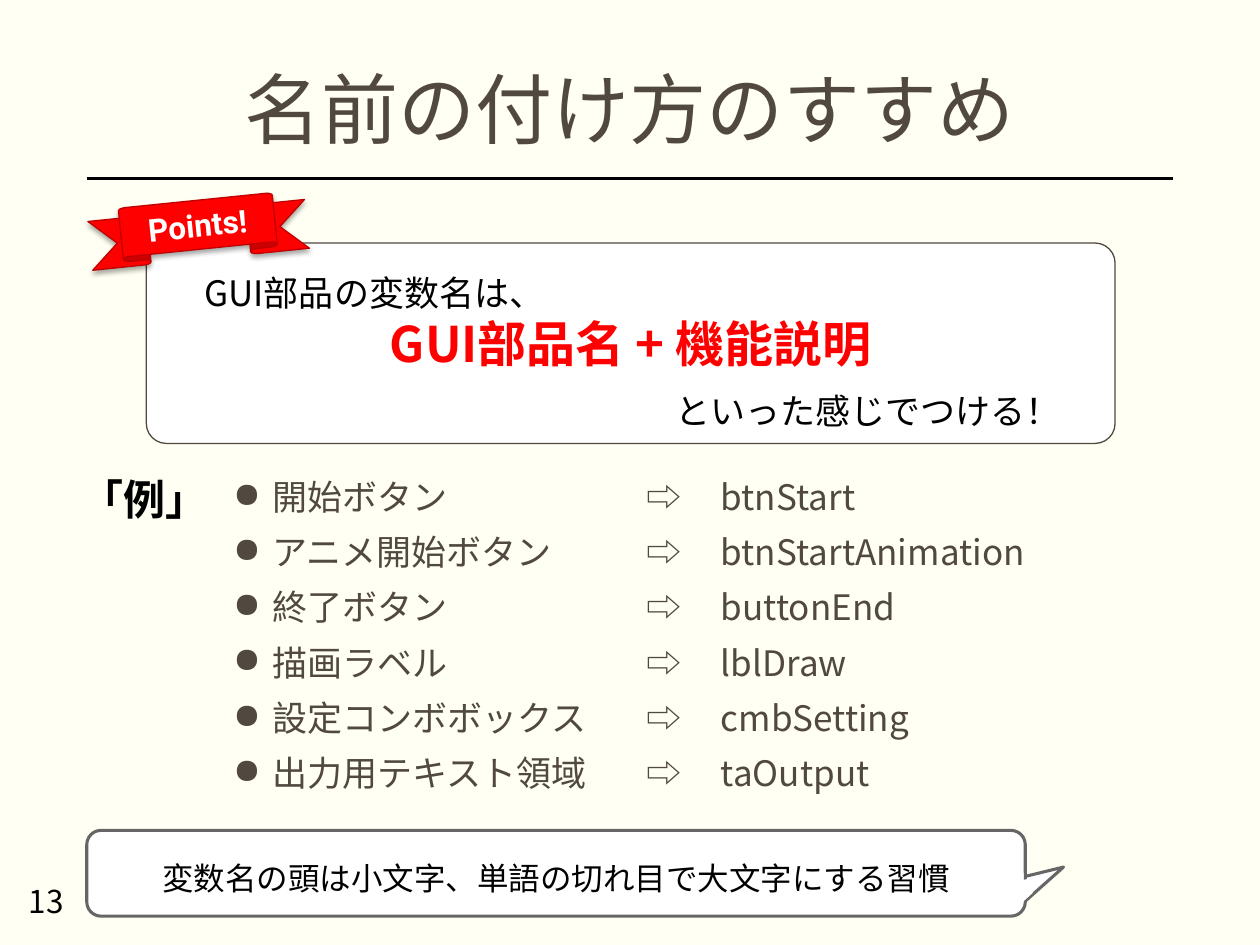
from dataclasses import dataclass
from typing import NamedTuple

from lxml.etree import SubElement
from pptx import Presentation
from pptx.dml.color import RGBColor
from pptx.enum.shapes import MSO_CONNECTOR, MSO_SHAPE
from pptx.enum.text import MSO_ANCHOR, PP_ALIGN
from pptx.oxml.ns import qn
from pptx.util import Cm, Pt


@dataclass(frozen=True)
class Theme:
    back: str = "FFFFF3"
    brown: str = "514840"
    black: str = "000000"
    white: str = "FFFFFF"
    red: str = "FF0000"
    dark: str = "C00000"
    gray: str = "666666"
    font: str = "Noto Sans CJK JP"
    bold: str = "Roboto"
    title: int = 44
    key: int = 28
    mark: int = 24
    body: int = 20
    note: int = 18


class Box(NamedTuple):
    left: float
    top: float
    width: float
    height: float


class Pair(NamedTuple):
    widget: str
    name: str


class Line(NamedTuple):
    text: str
    size: int
    color: str
    align: PP_ALIGN
    bold: bool = False
    left: float = 0
    right: float = 0


class Patch(NamedTuple):
    box: Box
    turn: float


T = Theme()

PAIRS = [
    Pair("開始ボタン", "btnStart"),
    Pair("アニメ開始ボタン", "btnStartAnimation"),
    Pair("終了ボタン", "buttonEnd"),
    Pair("描画ラベル", "lblDraw"),
    Pair("設定コンボボックス", "cmbSetting"),
    Pair("出力用テキスト領域", "taOutput"),
]
RULE = [
    Line("GUI部品の変数名は、", T.body, T.black, PP_ALIGN.LEFT, left=0.8),
    Line("GUI部品名 + 機能説明", T.key, T.red, PP_ALIGN.CENTER, bold=True),
    Line("といった感じでつける！", T.body, T.black, PP_ALIGN.RIGHT, right=0.72),
]
# White patches open the bubble's edge towards its tail
PATCHES = [Patch(Box(20.47, 17.65, 0.23, 0.43), 78), Patch(Box(20.55, 17.88, 0.2, 0.28), 47.5)]
TAIL = [(20.62, 17.68), (21.44, 17.48), (20.62, 18.21)]
TABS = (8.33, 9.83)


def rgb(code: str) -> RGBColor:
    return RGBColor.from_string(code)


def place(box: Box) -> list:
    return [Cm(n) for n in box]


def style(para, size: int, color: str, bold: bool = False, face: str = T.font) -> None:
    """Format every run, for Latin and East Asian letters alike."""
    for run in para.runs:
        font = run.font
        font.name, font.size, font.bold = face, Pt(size), bold
        font.color.rgb = rgb(color)
        SubElement(run._r.get_or_add_rPr(), qn("a:ea"), typeface=face)


def paint(shape, fill: str, edge: str = "", width: float = 0) -> None:
    shape.shadow.inherit = False
    shape.fill.solid()
    shape.fill.fore_color.rgb = rgb(fill)
    if edge:
        shape.line.color.rgb = rgb(edge)
        shape.line.width = Pt(width)
    else:
        shape.line.fill.background()


def label(shapes, box: Box, text: str, size: int, bold: bool = False, wrap: bool = True) -> None:
    frame = shapes.add_textbox(*place(box)).text_frame
    frame.word_wrap = wrap
    frame.text = text
    style(frame.paragraphs[0], size, T.black, bold)


def head(slide) -> None:
    title = slide.shapes.title
    title.left, title.top, title.width, title.height = place(Box(1.75, 1.19, 21.9, 2.18))
    frame = title.text_frame
    frame.text = "名前の付け方のすすめ"
    frame.vertical_anchor = MSO_ANCHOR.MIDDLE
    para = frame.paragraphs[0]
    para.alignment, para.line_spacing = PP_ALIGN.CENTER, 0.9
    style(para, T.title, T.brown)
    rule = slide.shapes.add_connector(
        MSO_CONNECTOR.STRAIGHT, Cm(1.75), Cm(3.6), Cm(23.65), Cm(3.6))
    rule.line.color.rgb, rule.line.width = rgb(T.black), Pt(2)
    SubElement(rule._element.spPr, qn("a:effectLst"))


def panel(shapes) -> None:
    card = shapes.add_shape(MSO_SHAPE.ROUNDED_RECTANGLE, *place(Box(2.95, 4.9, 19.53, 4.04)))
    card.adjustments[0] = 0.1
    paint(card, T.white, T.brown, 0.75)
    frame = card.text_frame
    frame.word_wrap, frame.vertical_anchor = True, MSO_ANCHOR.MIDDLE
    frame.margin_top = frame.margin_bottom = Cm(0.1)
    frame.text = "\n".join(line.text for line in RULE)
    for para, line in zip(frame.paragraphs, RULE):
        para.alignment, para.line_spacing = line.align, Pt(33.6)
        props = para._p.get_or_add_pPr()
        props.set("marL", str(Cm(line.left)))
        props.set("marR", str(Cm(line.right)))
        style(para, line.size, line.color, line.bold)


def ribbon(shapes) -> None:
    band = shapes.add_shape(MSO_SHAPE.UP_RIBBON, *place(Box(1.8, 4.04, 4.39, 1.19)))
    band.adjustments[0], band.adjustments[1] = 0.17, 0.71
    band.rotation = 354.2
    paint(band, T.red, T.dark, 0.75)
    glow = SubElement(band._element.spPr.find(qn("a:effectLst")), qn("a:outerShdw"),
                      blurRad=str(Pt(3.1)), dist=str(Pt(1.8)), dir="5400000", rotWithShape="0")
    tint = SubElement(glow, qn("a:srgbClr"), val=T.black)
    SubElement(tint, qn("a:alpha"), val="35000")
    frame = band.text_frame
    frame.word_wrap, frame.vertical_anchor = False, MSO_ANCHOR.MIDDLE
    frame.text = "Points!"
    frame.paragraphs[0].alignment = PP_ALIGN.CENTER
    style(frame.paragraphs[0], T.note, T.white, True, T.bold)


def sample(shapes) -> None:
    frame = shapes.add_textbox(*place(Box(4.45, 9.55, 17.4, 6.88))).text_frame
    frame.word_wrap = True
    frame.text = "\n".join(f"{pair.widget}\t⇨\t{pair.name}" for pair in PAIRS)
    for row, para in enumerate(frame.paragraphs):
        para.line_spacing, para.space_before = 0.9, Pt(10 if row else 0)
        props = para._p.get_or_add_pPr()
        props.set("marL", str(Cm(0.79)))
        props.set("indent", str(Cm(-0.79)))
        SubElement(props, qn("a:buChar"), char="●")
        tabs = SubElement(props, qn("a:tabLst"))
        for stop in TABS:
            SubElement(tabs, qn("a:tab"), pos=str(Cm(stop)), algn="l")
        style(para, T.body, T.brown)


def bubble(shapes) -> None:
    pen = shapes.build_freeform(Cm(TAIL[0][0]), Cm(TAIL[0][1]))
    pen.add_line_segments([(Cm(x), Cm(y)) for x, y in TAIL[1:]], close=True)
    paint(pen.convert_to_shape(), T.white, T.gray, 1.75)
    card = shapes.add_shape(MSO_SHAPE.ROUNDED_RECTANGLE, *place(Box(1.75, 16.74, 18.92, 1.73)))
    paint(card, T.white, T.gray, 1.75)
    frame = card.text_frame
    frame.word_wrap, frame.vertical_anchor = False, MSO_ANCHOR.MIDDLE
    frame.margin_top = Cm(0.3)
    frame.text = "変数名の頭は小文字、単語の切れ目で大文字にする習慣"
    frame.paragraphs[0].alignment = PP_ALIGN.CENTER
    style(frame.paragraphs[0], T.note, T.black)
    group = shapes.add_group_shape()
    for patch in PATCHES:
        cover = group.shapes.add_shape(MSO_SHAPE.RECTANGLE, *place(patch.box))
        cover.rotation = patch.turn
        paint(cover, T.white)


def main() -> None:
    deck = Presentation()
    deck.slide_width, deck.slide_height = Cm(25.4), Cm(19.05)
    slide = deck.slides.add_slide(deck.slide_layouts[5])
    slide.background.fill.solid()
    slide.background.fill.fore_color.rgb = rgb(T.back)
    head(slide)
    panel(slide.shapes)
    ribbon(slide.shapes)
    sample(slide.shapes)
    label(slide.shapes, Box(1.4, 9.42, 3.07, 1.27), "「例」", T.mark, bold=True, wrap=False)
    bubble(slide.shapes)
    label(slide.shapes, Box(0.33, 17.65, 5.72, 1.02), "13", T.note)
    deck.save("out.pptx")


if __name__ == "__main__":
    main()
